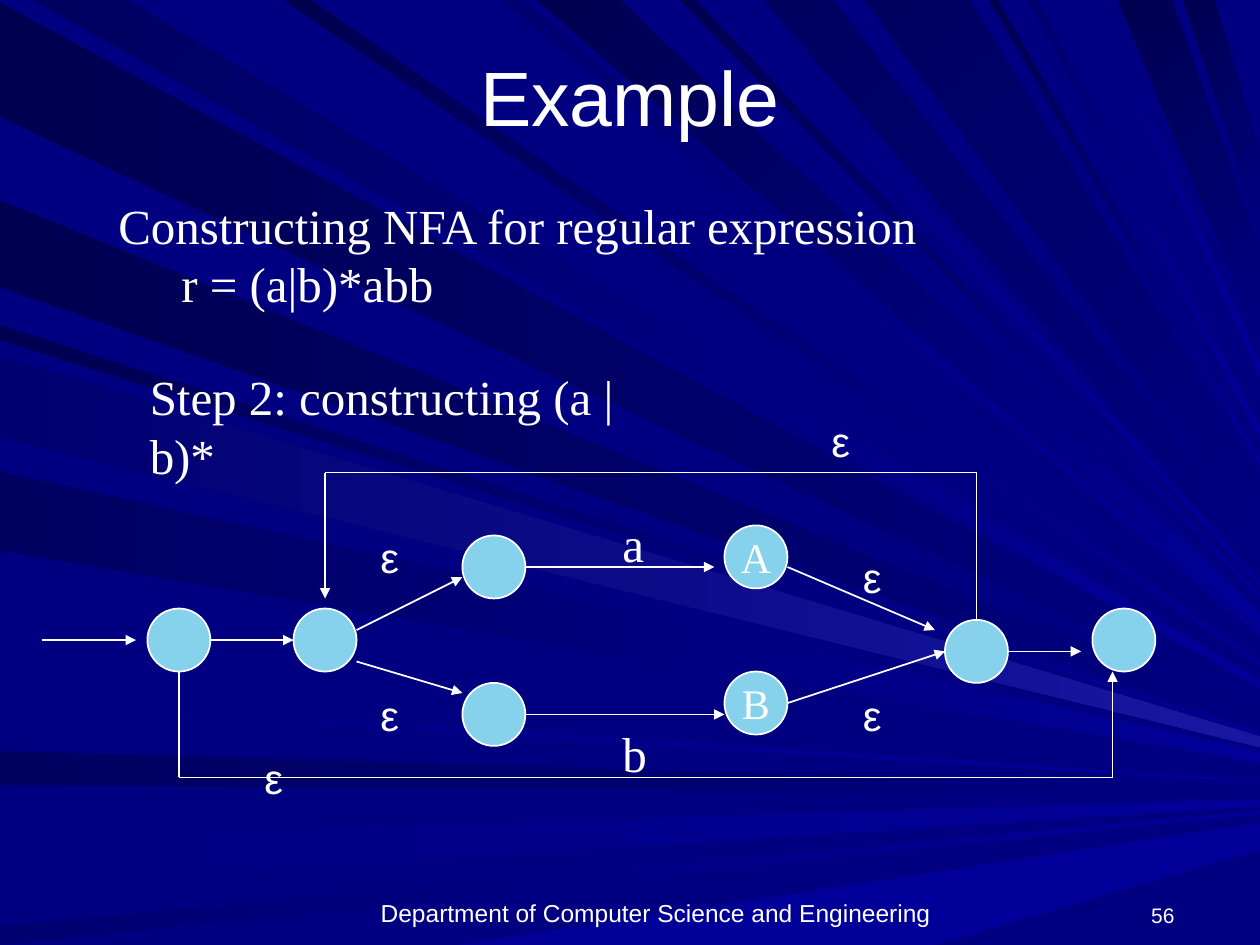
from lxml import etree
from pptx import Presentation
from pptx.dml.color import RGBColor
from pptx.enum.shapes import MSO_CONNECTOR, MSO_SHAPE
from pptx.enum.text import MSO_ANCHOR, PP_ALIGN
from pptx.oxml.ns import qn
from pptx.util import Inches, Pt

STRAIGHT, OVAL = MSO_CONNECTOR.STRAIGHT, MSO_SHAPE.OVAL
TOP, MIDDLE, BOTTOM = MSO_ANCHOR.TOP, MSO_ANCHOR.MIDDLE, MSO_ANCHOR.BOTTOM
LEFT, CENTER, RIGHT = PP_ALIGN.LEFT, PP_ALIGN.CENTER, PP_ALIGN.RIGHT

WHITE = RGBColor(0xFF, 0xFF, 0xFF)
SKY = RGBColor(0x86, 0xD1, 0xEC)
DEEP = RGBColor(0x00, 0x00, 0x50)
DARK = RGBColor(0x00, 0x00, 0x60)
SOFT = RGBColor(0x00, 0x00, 0x70)
NAVY = RGBColor(0x00, 0x00, 0x80)
ROYAL = RGBColor(0x00, 0x00, 0x99)
GLOW = RGBColor(0x17, 0x17, 0xA2)

SANS, SERIF = "Arial", "Times New Roman"
WIDTH, HEIGHT = 10, 7.5
FOCUS_X, FOCUS_Y = 11.5, 6.3  # every ray runs towards this point
STATE_SIZE = 0.5

# Rays: where each begins and ends along its edge, and its two colours
LEFT_RAYS = [
    (0.02, 0.93, DEEP, NAVY), (5.96, 6.23, DARK, NAVY), (6.65, 7.04, NAVY, ROYAL),
    (7.35, 7.5, SOFT, ROYAL), (2.58, 2.7, DEEP, ROYAL), (1.59, 2.28, DEEP, NAVY),
    (3.74, 4.37, DARK, ROYAL), (5.52, 5.6, NAVY, ROYAL), (2.83, 3.47, SOFT, GLOW),
]
TOP_RAYS = [
    (0.26, 1.01, DARK, ROYAL), (3.98, 4.16, SOFT, ROYAL), (4.26, 4.92, DEEP, ROYAL),
    (5.4, 5.52, DEEP, ROYAL), (6.06, 6.61, DARK, NAVY), (8.87, 9.3, DEEP, NAVY),
    (9.39, 9.64, DEEP, NAVY), (2.25, 2.47, DEEP, ROYAL), (5.77, 5.88, NAVY, ROYAL),
    (6.86, 7.7, DARK, NAVY), (7.85, 7.92, DEEP, ROYAL), (8.15, 8.24, SOFT, ROYAL),
    (8.65, 8.72, NAVY, ROYAL),
]

# States of the automaton: left, top, name
STATES = [
    (1.17, 4.83, ""), (2.33, 4.83, ""), (3.67, 4.25, ""), (3.67, 5.42, ""),
    (5.75, 4.17, "A"), (5.75, 5.33, "B"), (7.5, 4.92, ""), (8.67, 4.83, ""),
]

# Level moves: from x, to x, y
LEVEL_MOVES = [
    (0.33, 1.08, 5.08), (1.67, 2.33, 5.08), (4.17, 5.67, 4.5),
    (4.17, 5.75, 5.67), (8, 8.58, 5.17),
]
# Slanted moves: from point, to point
SLANTED_MOVES = [
    [(2.83, 5), (3.67, 4.58)], [(2.83, 5.25), (3.67, 5.5)],
    [(6.25, 4.5), (7.42, 5)], [(6.25, 5.58), (7.5, 5.17)],
]
# Detours: from x, from y, rail y, to x, to y
DETOURS = [(7.75, 4.92, 3.75, 2.58, 4.75), (1.42, 5.33, 6.17, 8.83, 5.33)]

EPSILONS = [(2.92, 4.17), (2.92, 5.42), (6.75, 4.33), (6.75, 5.42), (6.5, 3.25), (2, 5.92)]


def write(frame, text, *, size, font, align=LEFT, anchor=TOP, wrap=False):
    frame.word_wrap = wrap
    frame.vertical_anchor = anchor
    for index, line in enumerate(text.split("\n")):
        para = frame.paragraphs[0] if index == 0 else frame.add_paragraph()
        para.alignment = align
        span = para.add_run()
        span.text = line
        span.font.size = Pt(size)
        span.font.name = font
        span.font.color.rgb = WHITE


def add_text(page, text, left, top, width, height, **style):
    box = page.shapes.add_textbox(Inches(left), Inches(top), Inches(width), Inches(height))
    write(box.text_frame, text, **style)


def right_end(x, y):
    """Point where the line from (x, y) to the focus meets the right edge."""
    return WIDTH, y + (FOCUS_Y - y) * (WIDTH - x) / (FOCUS_X - x)


def add_ray(page, first, second, start_color, end_color, angle):
    points = [first, right_end(*first), right_end(*second), second]
    corners = [(Inches(x), Inches(y)) for x, y in points]
    builder = page.shapes.build_freeform(*corners[0])
    builder.add_line_segments(corners[1:], close=True)
    ray = builder.convert_to_shape()
    ray.shadow.inherit = False
    ray.line.fill.background()
    ray.fill.gradient()
    ray.fill.gradient_angle = angle
    for stop, color in zip(ray.fill.gradient_stops, (start_color, end_color)):
        stop.color.rgb = color


def add_background(page):
    page.background.fill.solid()
    page.background.fill.fore_color.rgb = NAVY
    for near, far, start_color, end_color in LEFT_RAYS:
        add_ray(page, (0, near), (0, far), start_color, end_color, 0)
    for near, far, start_color, end_color in TOP_RAYS:
        add_ray(page, (near, 0), (far, 0), start_color, end_color, 315)
    add_ray(page, (3.64, HEIGHT), (7.42, HEIGHT), ROYAL, ROYAL, 0)


def add_state(page, left, top, name):
    state = page.shapes.add_shape(
        OVAL, Inches(left), Inches(top), Inches(STATE_SIZE), Inches(STATE_SIZE))
    state.shadow.inherit = False
    state.fill.solid()
    state.fill.fore_color.rgb = SKY
    state.line.color.rgb = WHITE
    state.line.width = Pt(1)
    if name:
        write(state.text_frame, name, size=24, font=SERIF, align=CENTER, anchor=MIDDLE)


def add_line(page, start, end, arrow):
    line = page.shapes.add_connector(STRAIGHT, *[Inches(value) for value in start + end])
    line.line.color.rgb = WHITE
    line.line.width = Pt(1)
    if arrow:
        outline = line._element.spPr.find(qn("a:ln"))
        etree.SubElement(outline, qn("a:tailEnd"), type="triangle")
    etree.SubElement(line._element.spPr, qn("a:effectLst"))


def add_move(page, points):
    for start, end in zip(points, points[1:]):
        add_line(page, start, end, end == points[-1])


def add_automaton(page):
    for state in STATES:
        add_state(page, *state)
    for from_x, to_x, y in LEVEL_MOVES:
        add_move(page, [(from_x, y), (to_x, y)])
    for points in SLANTED_MOVES:
        add_move(page, points)
    for from_x, from_y, rail_y, to_x, to_y in DETOURS:
        add_move(page, [(from_x, from_y), (from_x, rail_y), (to_x, rail_y), (to_x, to_y)])
    for left, top in EPSILONS:
        add_text(page, "ε", left, top, 0.34, 0.5, size=24, font=SANS)
    for letter, top in (("a", 4.03), ("b", 5.69)):
        add_text(page, letter, 4.84, top, 0.38, 0.57, size=28, font=SERIF)


def main():
    deck = Presentation()
    deck.slide_width, deck.slide_height = Inches(WIDTH), Inches(HEIGHT)
    page = deck.slides.add_slide(deck.slide_layouts[6])
    add_background(page)

    # Footer, title and explanation
    add_text(page, "Department of Computer Science and Engineering", 1.83, 7.08, 6.75, 0.33,
             size=14, font=SANS, align=CENTER, anchor=BOTTOM, wrap=True)
    add_text(page, "56", 8.75, 7.08, 0.67, 0.33,
             size=12, font=SANS, align=RIGHT, anchor=BOTTOM, wrap=True)
    add_text(page, "Example", 0.5, 0.3, 9, 0.92,
             size=44, font=SANS, align=CENTER, anchor=MIDDLE, wrap=True)
    add_text(page, "Constructing NFA for regular expression\n\tr = (a|b)*abb",
             0.84, 1.5, 6.58, 1.04, size=28, font=SERIF)
    add_text(page, "Step 2: constructing (a | b)*", 1.09, 2.86, 4.49, 0.57, size=28, font=SERIF)

    add_automaton(page)
    deck.save("out.pptx")


if __name__ == "__main__":
    main()
